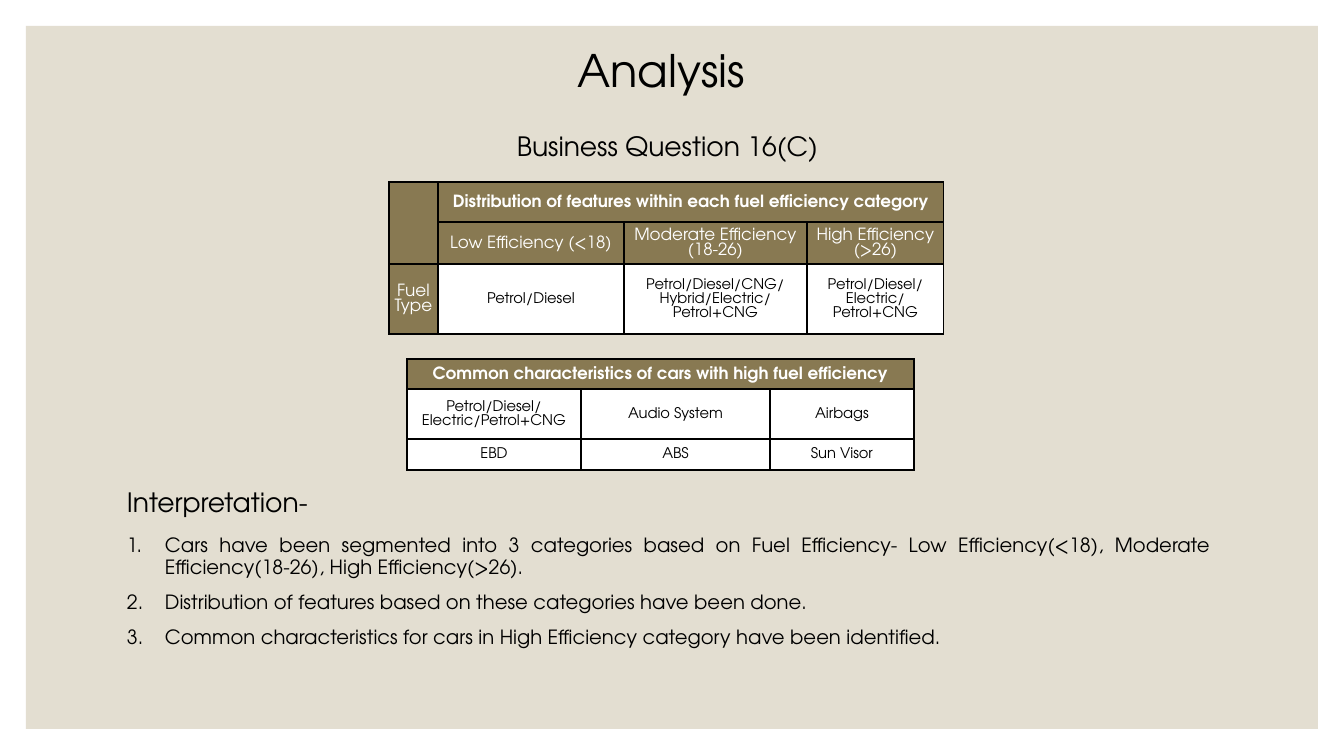
from lxml.etree import SubElement
from pptx import Presentation
from pptx.dml.color import RGBColor
from pptx.enum.shapes import MSO_SHAPE
from pptx.enum.text import MSO_ANCHOR, MSO_AUTO_SIZE, PP_ALIGN
from pptx.oxml.ns import qn
from pptx.util import Emu, Pt

COLORS = {"panel": "E3DED1", "header": "887952", "white": "FFFFFF", "black": "000000"}
FONT = "TeX Gyre Adventor"
EMU_PER_PX = 914400 / 100.8

FEATURE_ROWS = [
    ["", "Distribution of features within each fuel efficiency category", "", ""],
    ["", "Low Efficiency (<18)", "Moderate Efficiency (18-26)", "High Efficiency (>26)"],
    ["Fuel Type", "Petrol/Diesel", "Petrol/Diesel/CNG/ Hybrid/Electric/ Petrol+CNG",
     "Petrol/Diesel/ Electric/ Petrol+CNG"],
]
COMMON_ROWS = [
    ["Common characteristics of cars with high fuel efficiency", "", ""],
    ["Petrol/Diesel/ Electric/Petrol+CNG", "Audio System", "Airbags"],
    ["EBD", "ABS", "Sun Visor"],
]
FINDINGS = [
    "Cars have been segmented into 3 categories based on Fuel Efficiency- "
    "Low Efficiency(<18), Moderate Efficiency(18-26), High Efficiency(>26).",
    "Distribution of features based on these categories have been done.",
    "Common characteristics for cars in High Efficiency category have been identified.",
]


def px(length):
    return Emu(round(length * EMU_PER_PX))


def color(name):
    return RGBColor.from_string(COLORS[name])


def add_span(para, text, size, ink="black", bold=False):
    span = para.add_run()
    span.text = text
    span.font.name = FONT
    span.font.size = Pt(size)
    span.font.bold = bold
    span.font.color.rgb = color(ink)


def add_panel(page):
    panel = page.shapes.add_shape(MSO_SHAPE.RECTANGLE, px(26), px(26), px(1292), px(703))
    panel.shadow.inherit = False
    panel.fill.solid()
    panel.fill.fore_color.rgb = color("panel")
    panel.line.fill.background()
    page.shapes._spTree.insert(2, panel._element)


def set_title(page):
    title = page.shapes.title
    title.left, title.top, title.width, title.height = px(92), px(56), px(1149), px(46)
    frame = title.text_frame
    frame.auto_size = MSO_AUTO_SIZE.NONE
    frame.vertical_anchor = MSO_ANCHOR.BOTTOM
    para = frame.paragraphs[0]
    para.alignment = PP_ALIGN.CENTER
    para.line_spacing = 0.9
    add_span(para, "Analysis", 32)
    add_span(para, " ", 28, bold=True)


def add_text_frame(page, left, top, width, height, anchor):
    box = page.shapes.add_textbox(px(left), px(top), px(width), px(height))
    frame = box.text_frame
    frame.word_wrap = True
    frame.vertical_anchor = anchor
    return frame


def add_heading(page, text, left, top, width, alignment):
    frame = add_text_frame(page, left, top, width, 44, MSO_ANCHOR.MIDDLE)
    para = frame.paragraphs[0]
    para.alignment = alignment
    add_span(para, text, 19)


def add_numbered_list(page, items, left, top, width, height):
    frame = add_text_frame(page, left, top, width, height, MSO_ANCHOR.TOP)
    for index, item in enumerate(items):
        para = frame.add_paragraph() if index else frame.paragraphs[0]
        para.alignment = PP_ALIGN.JUSTIFY
        para.line_spacing = 0.9
        para.space_before = Pt(10)
        properties = para._p.get_or_add_pPr()
        properties.set("marL", str(px(38)))
        properties.set("indent", str(-px(38)))
        SubElement(properties, qn("a:buFont"), typeface=FONT)
        SubElement(properties, qn("a:buAutoNum"), type="arabicPeriod")
        add_span(para, item, 14)


def add_borders(cell):
    properties = cell._tc.get_or_add_tcPr()
    for side in ("a:lnL", "a:lnR", "a:lnT", "a:lnB"):
        line = SubElement(properties, qn(side), w=str(Pt(1)))
        fill = SubElement(line, qn("a:solidFill"))
        SubElement(fill, qn("a:srgbClr"), val=COLORS["black"])


def fill_cell(cell, text, is_header, bold):
    add_borders(cell)
    cell.fill.solid()
    cell.fill.fore_color.rgb = color("header" if is_header else "white")
    cell.vertical_anchor = MSO_ANCHOR.MIDDLE
    cell.margin_left = cell.margin_right = cell.margin_top = px(1)
    cell.margin_bottom = 0
    if text:
        para = cell.text_frame.paragraphs[0]
        para.alignment = PP_ALIGN.CENTER
        add_span(para, text, 12 if is_header else 10.5, "white" if is_header else "black", bold)


def add_grid(page, rows, left, top, widths, heights, header_rows, header_columns):
    frame = page.shapes.add_table(len(rows), len(widths), px(left), px(top),
                                  px(sum(widths)), px(sum(heights)))
    table = frame.table
    table.first_row = table.horz_banding = False
    for column, width in zip(table.columns, widths):
        column.width = px(width)
    for row, height in zip(table.rows, heights):
        row.height = px(height)
    for r, texts in enumerate(rows):
        for c, text in enumerate(texts):
            is_header = r < header_rows or c < header_columns
            fill_cell(table.cell(r, c), text, is_header, bold=r == 0)
    table.cell(0, header_columns).merge(table.cell(0, len(widths) - 1))
    if header_columns:
        table.cell(0, 0).merge(table.cell(header_rows - 1, header_columns - 1))


def main():
    deck = Presentation()
    deck.slide_width, deck.slide_height = px(1344), px(756)
    page = deck.slides.add_slide(deck.slide_layouts[5])
    page.background.fill.solid()
    page.background.fill.fore_color.rgb = color("white")
    add_panel(page)
    set_title(page)
    add_heading(page, "Business Question 16(C)", 93, 124, 1149, PP_ALIGN.CENTER)
    add_grid(page, FEATURE_ROWS, 389, 182, [49, 186, 183, 137], [40, 42, 70], 2, 1)
    add_grid(page, COMMON_ROWS, 407, 359, [174, 189, 144], [30, 50, 31], 1, 0)
    add_heading(page, "Interpretation-", 117, 480, 544, PP_ALIGN.LEFT)
    add_numbered_list(page, FINDINGS, 117, 531, 1104, 135)
    deck.save("out.pptx")


if __name__ == "__main__":
    main()
